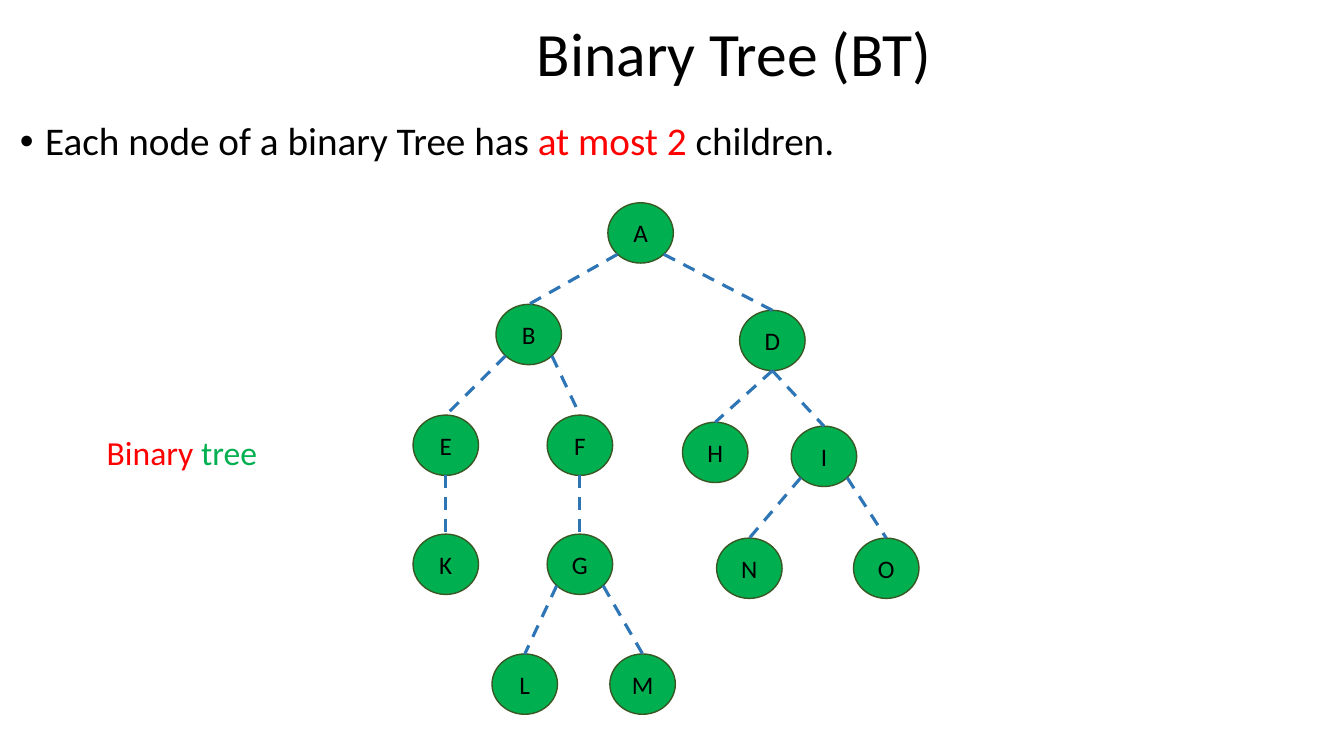
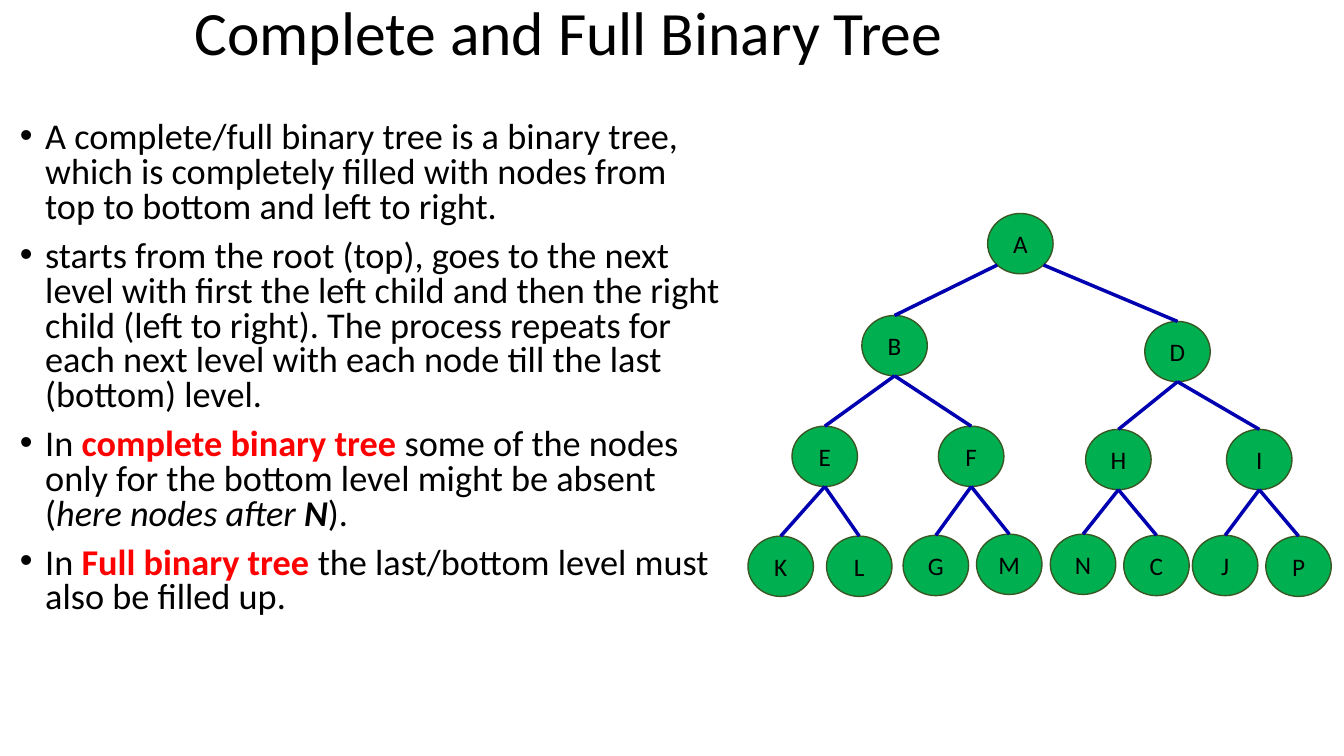
"""Build two slides on binary trees, complete trees and full trees."""
from lxml import etree
from pptx import Presentation
from pptx.dml.color import RGBColor
from pptx.enum.dml import MSO_LINE
from pptx.enum.shapes import MSO_CONNECTOR, MSO_SHAPE
from pptx.enum.text import MSO_ANCHOR, PP_ALIGN
from pptx.oxml.ns import qn
from pptx.util import Cm, Pt

BLACK = RGBColor(0, 0, 0)
RED = RGBColor(0xFF, 0, 0)
GREEN = RGBColor(0, 0xB0, 0x50)
DARK_GREEN = RGBColor(0x38, 0x57, 0x23)
BLUE = RGBColor(0x2E, 0x75, 0xB6)
NAVY = RGBColor(0, 0, 0xB0)

OVAL = MSO_SHAPE.OVAL
STRAIGHT = MSO_CONNECTOR.STRAIGHT
DASH = MSO_LINE.DASH
MIDDLE = MSO_ANCHOR.MIDDLE
TOP = MSO_ANCHOR.TOP
CENTER = PP_ALIGN.CENTER

FONT = "Calibri"
NODE_WIDTH, NODE_HEIGHT = 1.65, 1.52
DIAGONAL = 0.71
TITLE_LEFT, TITLE_WIDTH = 4.65, 29.21
BODY_LEFT, BODY_TOP = 0.25, 2.95
BULLET_INDENT = Cm(0.64)

PLAIN = {}
KEYWORD = {"color": RED, "bold": True}
ITALIC = {"italic": True}
BOLD_ITALIC = {"bold": True, "italic": True}


class TreeDeck:
    """Hold the deck style and the current slide."""

    def __init__(self):
        self.deck = Presentation()
        self.deck.slide_width, self.deck.slide_height = Cm(33.87), Cm(19.05)
        self.slide = None

    def new_slide(self):
        self.slide = self.deck.slides.add_slide(self.deck.slide_layouts[6])

    def style(self, run, size, color=BLACK, bold=False, italic=False):
        font = run.font
        font.name, font.size = FONT, Pt(size)
        font.bold, font.italic = bold, italic
        font.color.rgb = color

    def text(self, left, top, width, height, paragraphs, size, anchor=TOP):
        box = self.slide.shapes.add_textbox(Cm(left), Cm(top), Cm(width), Cm(height))
        frame = box.text_frame
        frame.word_wrap = True
        frame.vertical_anchor = anchor
        for index, pieces in enumerate(paragraphs):
            paragraph = frame.add_paragraph() if index else frame.paragraphs[0]
            for words, look in pieces:
                run = paragraph.add_run()
                run.text = words
                self.style(run, size, **look)
        return frame.paragraphs

    def title(self, words, top, height, left=TITLE_LEFT, indent=0):
        heading = self.text(left, top, TITLE_WIDTH, height, [[(words, PLAIN)]], 44, MIDDLE)[0]
        heading.line_spacing = 0.9
        heading._p.get_or_add_pPr().set("marL", str(Cm(indent)))

    def bullets(self, width, height, points, size, spacing):
        for point in self.text(BODY_LEFT, BODY_TOP, width, height, points, size):
            point.line_spacing = spacing
            point.space_before = Pt(10)
            properties = point._p.get_or_add_pPr()
            properties.set("marL", str(BULLET_INDENT))
            properties.set("indent", str(-BULLET_INDENT))
            etree.SubElement(properties, qn("a:buFont")).set("typeface", "Arial")
            etree.SubElement(properties, qn("a:buChar")).set("char", "•")

    def node(self, letter, left, top):
        circle = self.slide.shapes.add_shape(
            OVAL, Cm(left), Cm(top), Cm(NODE_WIDTH), Cm(NODE_HEIGHT))
        circle.shadow.inherit = False
        circle.fill.solid()
        circle.fill.fore_color.rgb = GREEN
        circle.line.color.rgb = DARK_GREEN
        circle.line.width = Pt(1)
        frame = circle.text_frame
        frame.text = letter
        frame.vertical_anchor = MIDDLE
        frame.paragraphs[0].alignment = CENTER
        self.style(frame.paragraphs[0].runs[0], 18)

    def edge(self, start, end, color, width, dash):
        branch = self.slide.shapes.add_connector(STRAIGHT, *map(Cm, start + end))
        branch.line.color.rgb = color
        branch.line.width = Pt(width)
        branch.line.dash_style = dash
        etree.SubElement(branch._element.spPr, qn("a:effectLst"))

    def tree(self, nodes, children, shoulders, color, width, dash=None):
        """Draw the nodes, then a branch to each child; shoulders branch from their sides."""
        for letter, (left, top) in nodes.items():
            self.node(letter, left, top)
        for parent, offspring in children.items():
            left, top = nodes[parent]
            for side, child in zip((-1, 1), offspring):
                reach = DIAGONAL if parent in shoulders else 0
                drop = DIAGONAL if parent in shoulders else 1
                start = (left + NODE_WIDTH / 2 * (1 + side * reach),
                         top + NODE_HEIGHT / 2 * (1 + drop))
                child_left, child_top = nodes[child]
                end = (child_left + NODE_WIDTH / 2, child_top)
                self.edge(start, end, color, width, dash)


trees = TreeDeck()

trees.new_slide()
trees.title("Binary Tree (BT)", 0, 2.84, left=3.12, indent=10.16)
trees.bullets(33.27, 1.65, [[
    ("Each node of a binary Tree has ", PLAIN),
    ("at most 2", {"color": RED}),
    (" children.", PLAIN),
]], 28, 0.9)
binary_nodes = {
    "A": (15.32, 5.11),
    "B": (12.5, 7.67), "D": (18.64, 7.82),
    "E": (10.41, 10.46), "F": (13.79, 10.46), "H": (17.2, 10.64), "I": (19.94, 10.74),
    "K": (10.41, 13.46), "G": (13.79, 13.46), "N": (18.06, 13.56), "O": (21.51, 13.56),
    "L": (12.4, 16.48), "M": (15.37, 16.48),
}
binary_children = {"A": "BD", "B": "EF", "D": "HI", "E": "K", "F": "G", "G": "LM", "I": "NO"}
trees.tree(binary_nodes, binary_children, "ABGI", BLUE, 2.25, DASH)
trees.text(2.44, 10.77, 4.52, 1.27,
           [[("Binary ", {"color": RED}), ("tree", {"color": GREEN})]], 24)

trees.new_slide()
trees.title("Complete and Full Binary Tree", -0.1, 2.01)
trees.bullets(18.19, 13.79, [
    [("A complete/full binary tree is a binary tree, which is completely filled "
      "with nodes from top to bottom and left to right.", PLAIN)],
    [("starts from the root (top), goes to the next level with first the left child "
      "and then the right child (left to right). The process repeats for each next "
      "level with each node till the last (bottom) level.", PLAIN)],
    [("In ", PLAIN), ("complete binary tree ", KEYWORD),
     ("some of the nodes only for the bottom level might be absent (", PLAIN),
     ("here nodes after ", ITALIC), ("N", BOLD_ITALIC), (").", PLAIN)],
    [("In ", PLAIN), ("Full binary tree ", KEYWORD),
     ("the last/bottom level must also be filled up.", PLAIN)],
], 25.9, 0.8)
full_nodes = {
    "A": (24.89, 5.38),
    "B": (21.72, 7.95), "D": (28.85, 8.1),
    "E": (19.96, 10.74), "F": (23.65, 10.74), "H": (27.36, 10.82), "I": (30.91, 10.82),
    "K": (18.85, 13.51), "L": (20.83, 13.51), "G": (22.76, 13.49), "M": (24.61, 13.46),
    "N": (26.47, 13.46), "C": (28.32, 13.49), "J": (30.05, 13.49), "P": (31.9, 13.51),
}
full_children = {"A": "BD", "B": "EF", "D": "HI", "E": "KL", "F": "GM", "H": "NC", "I": "JP"}
trees.tree(full_nodes, full_children, "A", NAVY, 2.5)

trees.deck.save("out.pptx")
